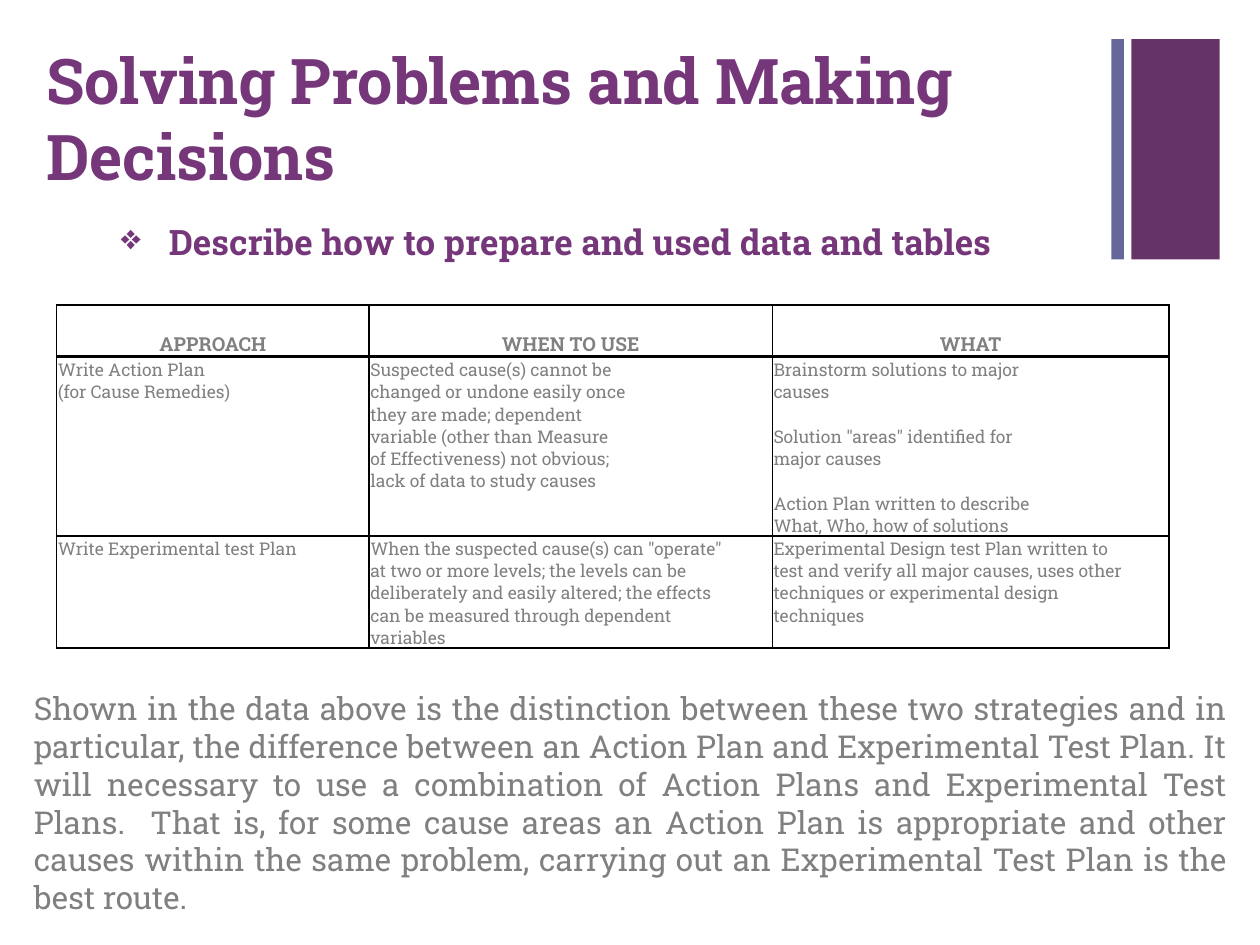
from lxml.etree import SubElement
from pptx import Presentation
from pptx.dml.color import RGBColor
from pptx.enum.shapes import MSO_SHAPE as Shape
from pptx.enum.text import MSO_ANCHOR as Anchor, PP_ALIGN as Align
from pptx.oxml.ns import qn
from pptx.util import Inches, Pt

PURPLE, GREY, BLACK = "75367A", "808080", "000000"
UNIT = 0.1  # grid step in inches: 100 columns by 75 rows

# Approach table: block start column -> {row: text or (text, columns covered)}
COLUMN_WIDTHS = [6.3, 6.3, 12.2, 6.3, 6.3, 6.3, 6.3, 6.8, 6.3, 6.3, 6.3, 12.6]
ROW_HEIGHTS = [4.1, 1.8] + [1.7] * 6 + [1.8] + [1.7] * 4 + [1.8]
COLUMN_EDGES = {0: 1, 3: 1, 8: 1, 12: 1}
ROW_EDGES = {0: 1, 1: 2, 9: 1, 14: 1}
BLOCK_SPANS = {0: 3, 3: 5, 8: 4}
APPROACHES = {
    0: {0: "APPROACH", 1: "Write Action Plan", 2: "(for Cause Remedies)",
        9: "Write Experimental test Plan"},
    3: {0: "WHEN TO USE",
        1: ("Suspected cause(s) cannot be", 4),
        2: ("changed or undone easily once", 4),
        3: ("they are made; dependent", 4),
        4: ("variable (other than Measure", 4),
        5: ("of Effectiveness) not obvious;", 4),
        6: ("lack of data to study causes", 4),
        9: 'When the suspected cause(s) can "operate"',
        10: "at two or more levels; the levels can be",
        11: "deliberately and easily altered; the effects",
        12: "can be measured through dependent",
        13: ("variables", 2)},
    8: {0: "WHAT", 1: "Brainstorm solutions to major", 2: ("causes", 1),
        4: 'Solution "areas" identified for', 5: ("major causes", 2),
        7: "Action Plan written to describe", 8: "What, Who, how of solutions",
        9: "Experimental Design test Plan written to",
        10: "test and verify all major causes, uses other",
        11: "techniques or experimental design",
        12: ("techniques", 2)},
}
SUMMARY = (
    "Shown in the data above is the distinction between these two strategies and in "
    "particular, the difference between an Action Plan and Experimental Test Plan. It "
    "will necessary to use a combination of Action Plans and Experimental Test Plans.  "
    "That is, for some cause areas an Action Plan is appropriate and other causes within "
    "the same problem, carrying out an Experimental Test Plan is the best route."
)


def color(hex_string):
    return RGBColor.from_string(hex_string)


def grid(*steps):
    return [Inches(step * UNIT) for step in steps]


def write(frame, text, size, ink, bold=False, align=Align.LEFT):
    paragraph = frame.paragraphs[0]
    paragraph.alignment = align
    run = paragraph.add_run()
    run.text = text
    run.font.name, run.font.size, run.font.bold = "Roboto Slab", Pt(size), bold
    run.font.color.rgb = color(ink)
    return paragraph


def draw_border(cell, side, width):
    line = SubElement(cell._tc.get_or_add_tcPr(), qn(f"a:ln{side}"), w=str(Pt(width)))
    if width:
        fill = SubElement(line, qn("a:solidFill"))
        SubElement(fill, qn("a:srgbClr"), val=BLACK)
    else:
        SubElement(line, qn("a:noFill"))


class SlideBuilder:
    def __init__(self):
        self.deck = Presentation()
        self.deck.slide_width, self.deck.slide_height = grid(100, 75)
        self.slide = self.deck.slides.add_slide(self.deck.slide_layouts[5])

    def bar(self, place, fill):
        bar = self.slide.shapes.add_shape(Shape.RECTANGLE, *grid(*place))
        bar.shadow.inherit = False
        bar.fill.solid()
        bar.fill.fore_color.rgb = color(fill)
        bar.line.fill.background()

    def bullet_title(self, place, text, bullet, indent, **style):
        title = self.slide.shapes.title
        title.left, title.top, title.width, title.height = grid(*place)
        title.text_frame.vertical_anchor = Anchor.MIDDLE
        properties = write(title.text_frame, text, **style)._p.get_or_add_pPr()
        properties.set("marL", str(Inches(indent)))
        properties.set("indent", str(-Inches(indent)))
        SubElement(properties, qn("a:buChar"), char=bullet)

    def text(self, place, text, **style):
        frame = self.slide.shapes.add_textbox(*grid(*place)).text_frame
        frame.word_wrap = True
        write(frame, text, **style)

    def table(self, place, blocks):
        table = self.slide.shapes.add_table(
            len(ROW_HEIGHTS), len(COLUMN_WIDTHS), *grid(*place)).table
        table.first_row = table.horz_banding = False
        for column, width in zip(table.columns, grid(*COLUMN_WIDTHS)):
            column.width = width
        for row, height in zip(table.rows, grid(*ROW_HEIGHTS)):
            row.height = height

        # Text lines, each merged across its share of the block
        for start, lines in blocks.items():
            for row, line in lines.items():
                text, span = line if isinstance(line, tuple) else (line, BLOCK_SPANS[start])
                cell = table.cell(row, start)
                if span > 1:
                    cell.merge(table.cell(row, start + span - 1))
                header = row == 0
                write(cell.text_frame, text, size=11 if header else 10, ink=GREY,
                      bold=header, align=Align.CENTER if header else Align.LEFT)

        # Borders follow the block edges
        for row in range(len(ROW_HEIGHTS)):
            for column in range(len(COLUMN_WIDTHS)):
                cell = table.cell(row, column)
                end = column + (cell.span_width if cell.is_merge_origin else 1)
                cell.margin_left = cell.margin_right = cell.margin_top = Inches(0.01)
                cell.margin_bottom = 0
                cell.vertical_anchor = Anchor.BOTTOM
                draw_border(cell, "L", COLUMN_EDGES.get(column, 0))
                draw_border(cell, "R", COLUMN_EDGES.get(end, 0))
                draw_border(cell, "T", ROW_EDGES.get(row, 0))
                draw_border(cell, "B", ROW_EDGES.get(row + 1, 0))
                cell.fill.background()
                if not cell.text_frame.text:  # keeps empty rows low
                    SubElement(cell.text_frame.paragraphs[0]._p, qn("a:endParaRPr"), sz="800")


def main():
    builder = SlideBuilder()
    # Corner bars
    builder.bar((89.8, 3.1, 7, 17.5), "663366")
    builder.bar((88.2, 3.1, 1, 17.5), "666699")
    # Heading and topic
    builder.bullet_title((8.6, 16.7, 83.1, 4.9),
                         "Describe how to prepare and used data and tables",
                         bullet="❖", indent=0.38, size=20, ink=PURPLE, bold=True)
    builder.text((2.7, 2.8, 82.7, 13.1), "Solving Problems and Making Decisions",
                 size=36, ink=PURPLE, bold=True)
    # Approaches and summary
    builder.table((4.5, 24.2, 88, 27.2), APPROACHES)
    builder.text((1.7, 54.2, 96.7, 16.2), SUMMARY, size=18, ink=GREY, align=Align.JUSTIFY)
    builder.deck.save("out.pptx")


if __name__ == "__main__":
    main()
